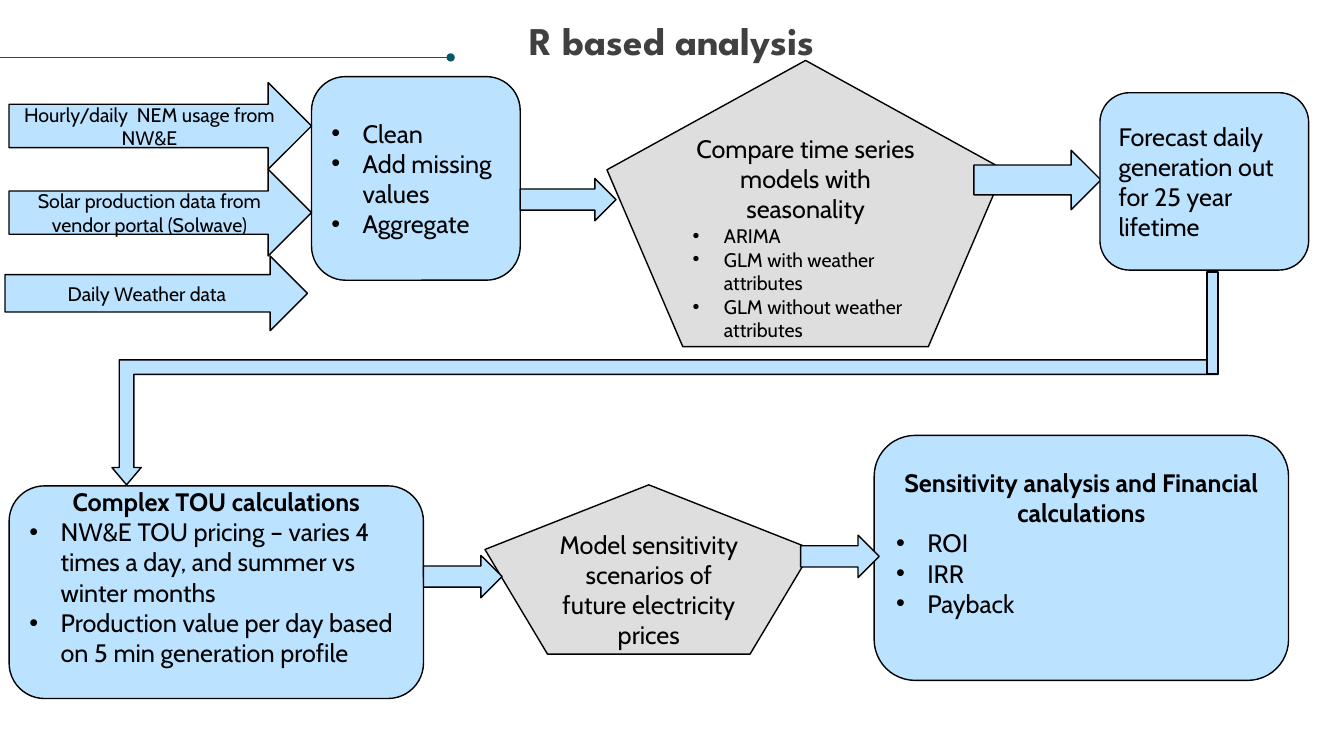
from dataclasses import dataclass

from lxml.etree import SubElement
from pptx import Presentation
from pptx.dml.color import RGBColor
from pptx.enum.shapes import MSO_CONNECTOR, MSO_SHAPE
from pptx.enum.text import MSO_ANCHOR, MSO_AUTO_SIZE, PP_ALIGN
from pptx.oxml.ns import qn
from pptx.util import Inches, Pt


@dataclass(frozen=True)
class Theme:
    blue: RGBColor = RGBColor(0xBB, 0xE2, 0xFF)
    grey: RGBColor = RGBColor(0xDE, 0xDE, 0xDE)
    black: RGBColor = RGBColor(0, 0, 0)
    heading: RGBColor = RGBColor(0x40, 0x40, 0x40)
    rule: RGBColor = RGBColor(0x08, 0x57, 0x64)
    heading_font: str = "League Spartan"
    body_font: str = "Cabin"
    heading_size: int = 28
    body_size: int = 18
    small_size: int = 14
    bullet_indent: float = 0.31
    blank_line: float = 0.3


@dataclass(frozen=True)
class Box:
    left: float
    top: float
    width: float
    height: float

    def inner(self, left, top, width, height):
        return Box(self.left + left, self.top + top, width, height)

    def lengths(self):
        return [Inches(n) for n in (self.left, self.top, self.width, self.height)]


THEME = Theme()


def write(frame, text, size=THEME.body_size, font=THEME.body_font, color=THEME.black,
          bold=False, align=PP_ALIGN.LEFT, bullet=False):
    """Write one paragraph, filling the first one if it is still empty."""
    para = frame.paragraphs[0] if not frame.text else frame.add_paragraph()
    para.alignment = align
    span = para.add_run()
    span.text = text
    span.font.size = Pt(size)
    span.font.name = font
    span.font.bold = bold
    span.font.color.rgb = color
    if bullet:
        properties = para._p.get_or_add_pPr()
        properties.set("marL", str(Inches(THEME.bullet_indent)))
        properties.set("indent", str(-Inches(THEME.bullet_indent)))
        SubElement(properties, qn("a:buFont")).set("typeface", "Arial")
        SubElement(properties, qn("a:buChar")).set("char", "•")
    return para


def add_block(page, kind, box, fill=THEME.blue, heading=None, bullets=(),
              bullet_size=THEME.body_size, space_below=0, **heading_format):
    shape = page.shapes.add_shape(kind, *box.lengths())
    shape.shadow.inherit = False
    shape.fill.solid()
    shape.fill.fore_color.rgb = fill
    shape.line.color.rgb = THEME.black
    shape.line.width = Pt(1)
    frame = shape.text_frame
    frame.word_wrap = True
    frame.vertical_anchor = MSO_ANCHOR.MIDDLE
    frame.margin_bottom = Inches(0.05 + space_below)
    if heading:
        write(frame, heading, **{"align": PP_ALIGN.CENTER, **heading_format})
    for item in bullets:
        write(frame, item, size=bullet_size, bullet=True)
    return shape


def add_heading(page, box):
    title = page.shapes.title
    title.left, title.top, title.width, title.height = box.inner(0.25, 0.21, 12.83, 0.42).lengths()
    frame = title.text_frame
    frame.margin_left = frame.margin_top = frame.margin_right = frame.margin_bottom = 0
    frame.word_wrap = True
    frame.auto_size = MSO_AUTO_SIZE.SHAPE_TO_FIT_TEXT
    para = write(frame, "R based analysis", size=THEME.heading_size, font=THEME.heading_font,
                 color=THEME.heading, bold=True, align=PP_ALIGN.CENTER)
    para.line_spacing = 0.9

    # Rule with a round end
    height = Inches(box.top + 0.57)
    rule = page.shapes.add_connector(MSO_CONNECTOR.STRAIGHT, Inches(box.left), height,
                                     Inches(box.left + 4.47), height)
    rule.line.color.rgb = THEME.rule
    rule.line.width = Pt(0.5)
    SubElement(rule.line._get_or_add_ln(), qn("a:tailEnd")).set("type", "oval")
    SubElement(rule._element.spPr, qn("a:effectLst"))


def add_inputs(page, box):
    inputs = [
        ("Hourly/daily  NEM usage from NW&E", 0.04, 0.86),
        ("Solar production data from vendor portal (Solwave)", 0.04, 0.86),
        ("Daily Weather data", 0, 0.74),
    ]
    for row, (text, left, height) in enumerate(inputs):
        add_block(page, MSO_SHAPE.RIGHT_ARROW, box.inner(left, row * 0.86, 3, height),
                  heading=text, size=THEME.small_size)


def add_cleaning(page, box):
    add_block(page, MSO_SHAPE.ROUNDED_RECTANGLE, box,
              bullets=["Clean", "Add missing values", "Aggregate"])


def add_forecasting(page, box):
    add_block(page, MSO_SHAPE.RIGHT_ARROW, box.inner(0, 1.17, 0.95, 0.42))
    add_block(page, MSO_SHAPE.REGULAR_PENTAGON, box.inner(0.86, 0, 3.94, 2.84), fill=THEME.grey,
              heading="Compare time series models with seasonality",
              bullets=["ARIMA", "GLM with weather attributes", "GLM without weather attributes"],
              bullet_size=THEME.small_size)
    add_block(page, MSO_SHAPE.RIGHT_ARROW, box.inner(4.5, 0.89, 1.26, 0.59))
    add_block(page, MSO_SHAPE.ROUNDED_RECTANGLE, box.inner(5.75, 0.32, 2.07, 1.76),
              heading="Forecast daily generation out for 25 year lifetime",
              align=PP_ALIGN.LEFT)


def add_return_path(page, box):
    arrow = add_block(page, MSO_SHAPE.BENT_UP_ARROW, box.inner(0, 0.87, box.width, 1.24))
    arrow.rotation = 180
    for index, value in enumerate((0.116, 0.117, 0.139)):
        arrow.adjustments[index] = value
    add_block(page, MSO_SHAPE.RECTANGLE, box.inner(box.width - 0.11, 0, 0.11, 1.01))


def add_valuation(page, box):
    add_block(page, MSO_SHAPE.ROUNDED_RECTANGLE, box.inner(0, 0.5, 4.11, 2.11),
              heading="Complex TOU calculations", bold=True, space_below=THEME.blank_line,
              bullets=["NW&E TOU pricing – varies 4 times a day, and summer vs winter months",
                       "Production value per day based on 5 min generation profile"])
    add_block(page, MSO_SHAPE.REGULAR_PENTAGON, box.inner(4.72, 0.49, 3.25, 1.68), fill=THEME.grey,
              heading="Model sensitivity scenarios of future electricity prices")
    add_block(page, MSO_SHAPE.RIGHT_ARROW, box.inner(4.11, 1.19, 0.78, 0.42))
    add_block(page, MSO_SHAPE.ROUNDED_RECTANGLE, box.inner(8.58, 0, 4.11, 2.43),
              heading="Sensitivity analysis and Financial calculations", bold=True,
              space_below=THEME.blank_line, bullets=["ROI", "IRR", "Payback"])
    add_block(page, MSO_SHAPE.RIGHT_ARROW, box.inner(7.85, 0.99, 0.78, 0.42))


def main():
    deck = Presentation()
    deck.slide_width, deck.slide_height = Inches(13.33), Inches(7.5)
    page = deck.slides.add_slide(deck.slide_layouts.get_by_name("Title Only"))
    add_heading(page, Box(0, 0, 13.33, 0.63))
    # Upper row: data to forecast
    add_cleaning(page, Box(3.09, 0.76, 2.07, 2.02))
    add_inputs(page, Box(0.05, 0.82, 3.04, 2.45))
    add_forecasting(page, Box(5.16, 0.6, 7.82, 2.84))
    # Lower row: forecast to financial results
    add_return_path(page, Box(1.11, 2.7, 10.97, 2.11))
    add_valuation(page, Box(0.09, 4.32, 12.69, 2.61))
    deck.save("out.pptx")


if __name__ == "__main__":
    main()
